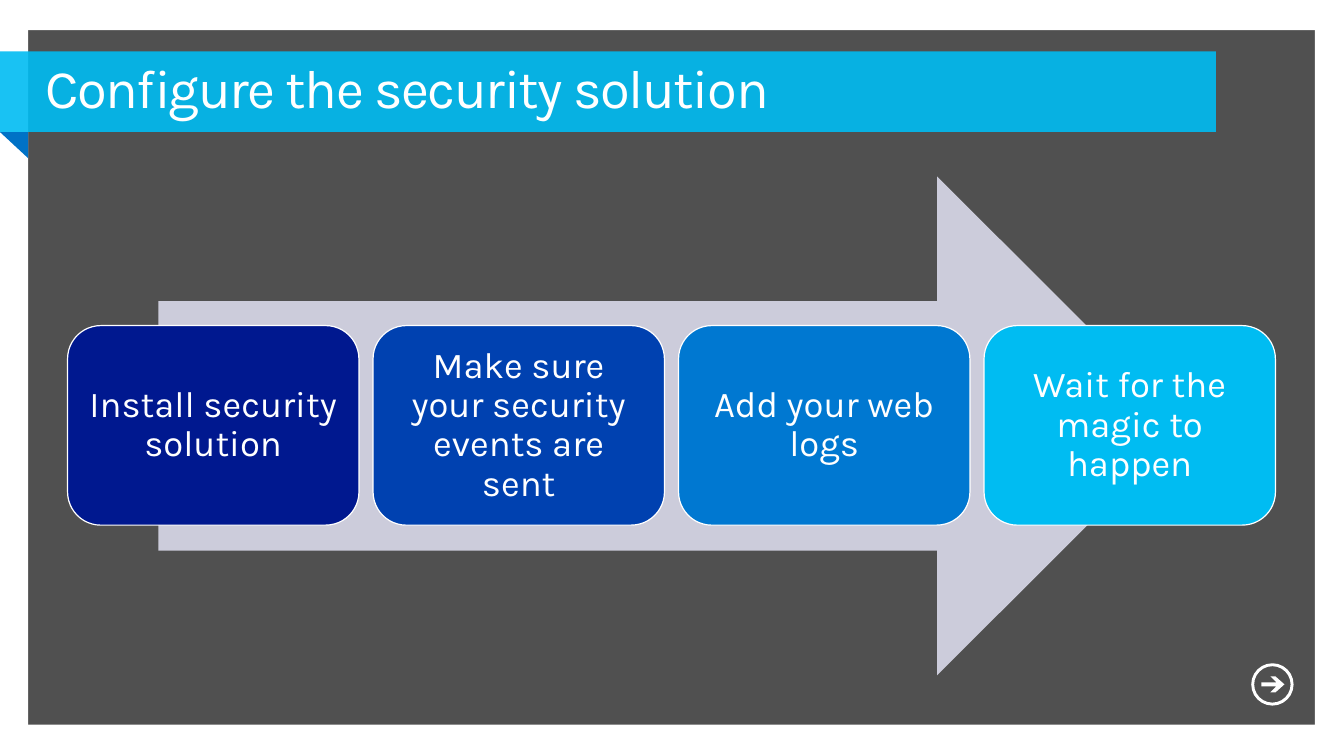
"""Build the slide that shows the four steps of configuring the security solution."""
from dataclasses import dataclass, field

from lxml import etree
from pptx import Presentation
from pptx.dml.color import RGBColor
from pptx.enum.shapes import MSO_SHAPE
from pptx.enum.text import MSO_ANCHOR, PP_ALIGN
from pptx.oxml.ns import qn
from pptx.shapes.autoshape import Shape
from pptx.slide import Slide
from pptx.util import Inches, Pt

COLORS = {
    "background": "505050",
    "white": "FFFFFF",
    "cyan": "00BCF2",
    "fold": "0072C6",
    "arrow": "CCCCDB",
    "navy": "00188F",
    "royal": "0041B0",
    "azure": "0078D1",
}
FONT = "Karla"
CARD_LEFT, CARD_TOP, CARD_PITCH = 0.67, 3.23, 3.03
CARD_WIDTH, CARD_HEIGHT = 2.89, 1.98
ARROW_ICON = [
    (12.66, 6.77), (12.6, 6.71), (12.65, 6.71), (12.74, 6.79), (12.65, 6.87),
    (12.6, 6.87), (12.66, 6.81), (12.51, 6.81), (12.51, 6.77),
]


@dataclass
class Block:
    kind: MSO_SHAPE
    left: float
    top: float
    width: float
    height: float
    color: str
    adjustments: list[float] = field(default_factory=list)
    rotation: float = 0


@dataclass
class Step:
    text: str
    color: str


FRAME_AND_BANNER = [
    Block(MSO_SHAPE.FRAME, 0, 0, 13.33, 7.5, "white", [0.28 / 7.5]),
    Block(MSO_SHAPE.RECTANGLE, 0.25, 7.19, 12.93, 0.1, "white"),
    Block(MSO_SHAPE.RECTANGLE, 0.2, 0.2, 12.93, 0.1, "white"),
    Block(MSO_SHAPE.RECTANGLE, 13.04, 0.2, 0.09, 7.09, "white"),
    Block(MSO_SHAPE.RIGHT_TRIANGLE, 0, 1.31, 0.28, 0.26, "fold", rotation=180),
    Block(MSO_SHAPE.DONUT, 12.41, 6.58, 0.42, 0.42, "white", [0.07]),
    Block(MSO_SHAPE.RIGHT_ARROW, 1.57, 1.75, 10.2, 4.95, "arrow"),
]
BANNER = Block(MSO_SHAPE.RECTANGLE, 0, 0.51, 12.06, 0.8, "cyan")
STEPS = [
    Step("Install security solution", "navy"),
    Step("Make sure your security events are sent", "royal"),
    Step("Add your web logs", "azure"),
    Step("Wait for the magic to happen", "cyan"),
]
TITLE_FRAME = {
    "word_wrap": True,
    "vertical_anchor": MSO_ANCHOR.TOP,
    "margin_left": Inches(0.16),
    "margin_right": Inches(0.16),
    "margin_top": Inches(0.1),
    "margin_bottom": Inches(0.1),
}
CARD_FRAME = {
    "word_wrap": True,
    "vertical_anchor": MSO_ANCHOR.MIDDLE,
    "margin_left": Inches(0.11),
    "margin_right": Inches(0.11),
    "margin_top": Inches(0.11),
    "margin_bottom": Inches(0.11),
}


def rgb(name: str) -> RGBColor:
    """Return the named colour."""
    return RGBColor.from_string(COLORS[name])


def apply_format(target: object, values: dict) -> None:
    """Set each format value on the target."""
    for name, value in values.items():
        setattr(target, name, value)


def paint(shape: Shape, color: str) -> None:
    """Give the shape a flat fill with no line or shadow."""
    shape.shadow.inherit = False
    shape.fill.solid()
    shape.fill.fore_color.rgb = rgb(color)
    shape.line.fill.background()


def add_block(slide: Slide, block: Block) -> Shape:
    """Draw a preset shape."""
    shape = slide.shapes.add_shape(
        block.kind, Inches(block.left), Inches(block.top),
        Inches(block.width), Inches(block.height),
    )
    paint(shape, block.color)
    shape.rotation = block.rotation
    for index, value in enumerate(block.adjustments):
        shape.adjustments[index] = value
    return shape


def write_text(shape: Shape, text: str, size: float, alignment: PP_ALIGN,
               frame_format: dict, spacing: int = 0) -> None:
    """Write one styled paragraph in the shape."""
    apply_format(shape.text_frame, frame_format)
    paragraph = shape.text_frame.paragraphs[0]
    apply_format(paragraph, {"alignment": alignment, "line_spacing": 0.9})
    run = paragraph.add_run()
    run.text = text
    apply_format(run.font, {"name": FONT, "size": Pt(size)})
    run.font.color.rgb = rgb("white")
    run.font._element.set("spc", str(spacing))


def add_banner(slide: Slide) -> None:
    """Draw the translucent banner and its title."""
    banner = add_block(slide, BANNER)
    color = banner.fill._xPr.find(qn("a:solidFill"))[0]
    etree.SubElement(color, qn("a:alpha")).set("val", "90000")
    title = slide.shapes.add_textbox(
        Inches(0.29), Inches(0.51), Inches(11.56), Inches(0.8))
    write_text(title, "Configure the security solution", 38.8,
               PP_ALIGN.LEFT, TITLE_FRAME, -100)


def add_arrow_icon(slide: Slide) -> None:
    """Draw the small arrow inside the ring."""
    points = [(Inches(x), Inches(y)) for x, y in ARROW_ICON]
    builder = slide.shapes.build_freeform(*points[0])
    builder.add_line_segments(points[1:], close=True)
    paint(builder.convert_to_shape(), "white")


def add_card(slide: Slide, index: int, step: Step) -> None:
    """Draw one step card."""
    card = add_block(slide, Block(
        MSO_SHAPE.ROUNDED_RECTANGLE, CARD_LEFT + index * CARD_PITCH, CARD_TOP,
        CARD_WIDTH, CARD_HEIGHT, step.color,
    ))
    card.line.color.rgb = rgb("white")
    card.line.width = Pt(0.85)
    write_text(card, step.text, 26, PP_ALIGN.CENTER, CARD_FRAME)


def main() -> None:
    """Build and save the presentation."""
    presentation = Presentation()
    presentation.slide_width = Inches(13.33)
    presentation.slide_height = Inches(7.5)
    slide = presentation.slides.add_slide(presentation.slide_layouts[6])
    slide.background.fill.solid()
    slide.background.fill.fore_color.rgb = rgb("background")
    for block in FRAME_AND_BANNER:
        add_block(slide, block)
    add_banner(slide)
    add_arrow_icon(slide)
    for index, step in enumerate(STEPS):
        add_card(slide, index, step)
    presentation.save("out.pptx")


if __name__ == "__main__":
    main()
